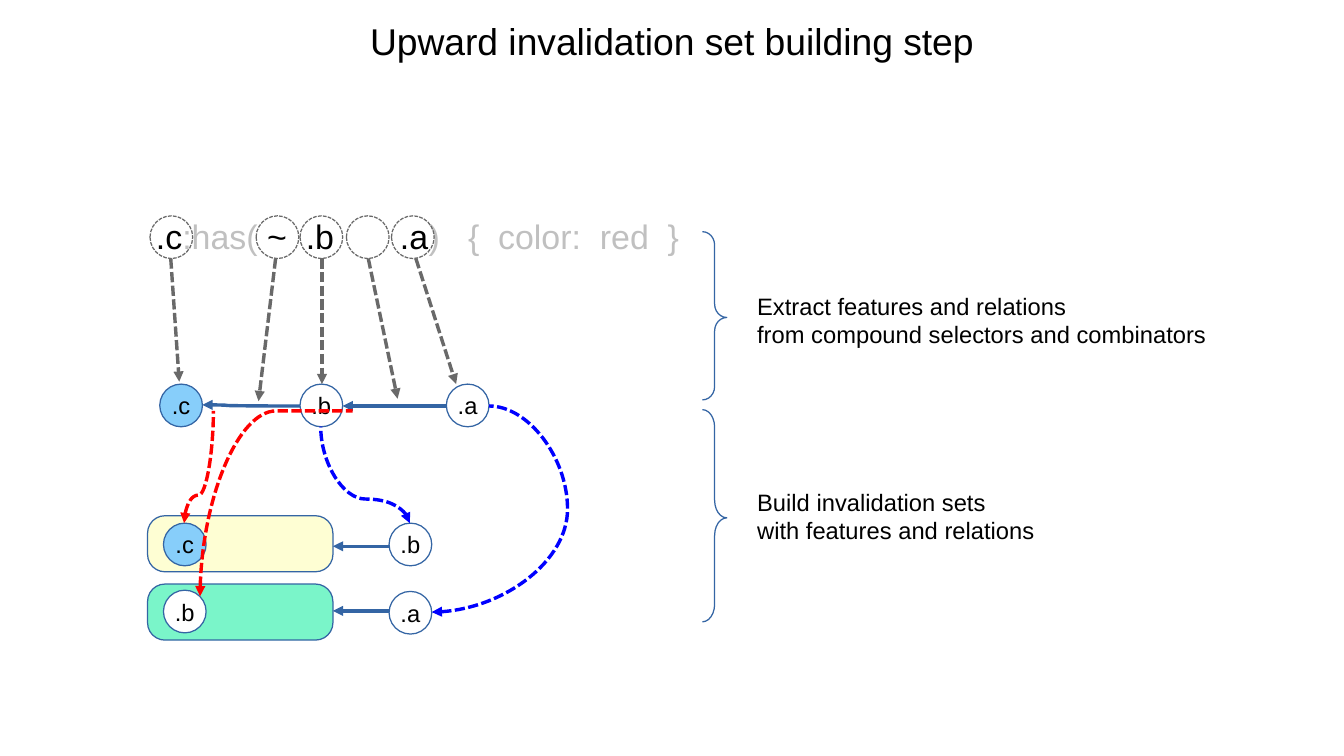
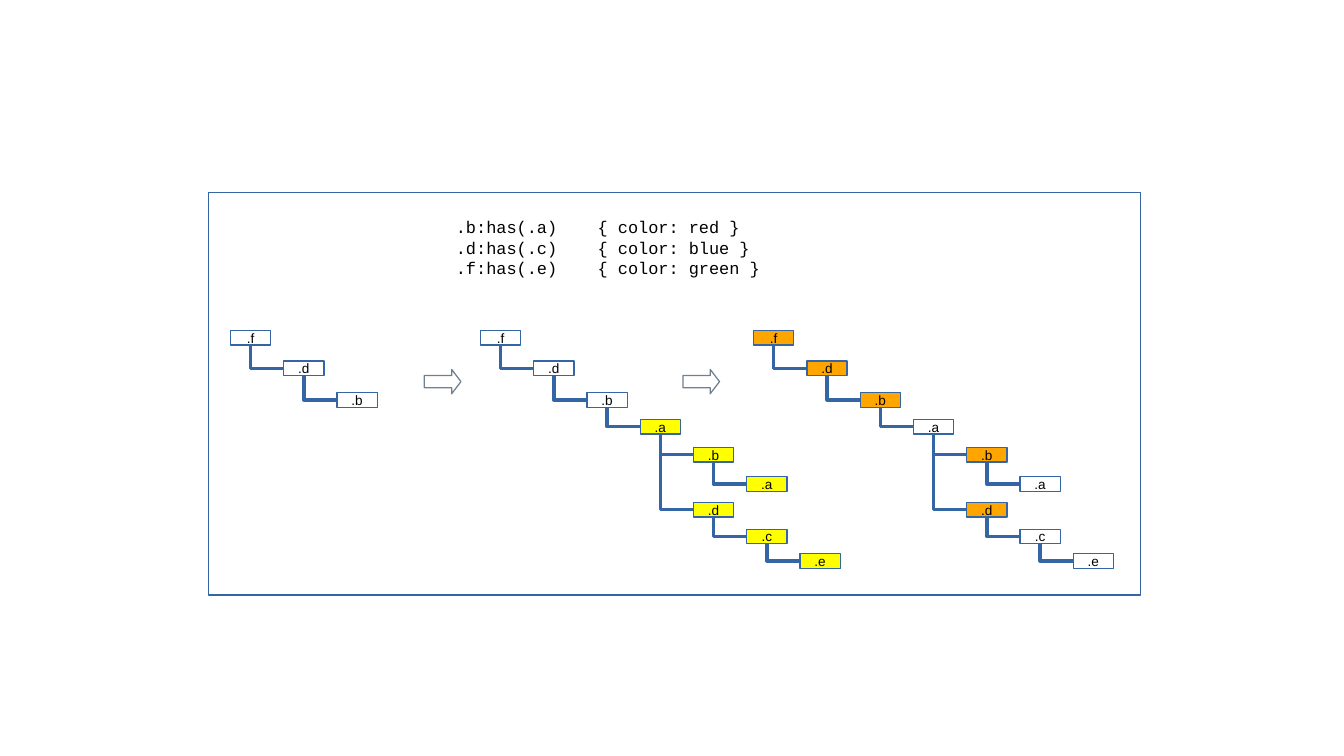
from lxml.etree import SubElement
from pptx import Presentation
from pptx.dml.color import RGBColor
from pptx.enum.dml import MSO_LINE
from pptx.enum.shapes import MSO_CONNECTOR, MSO_SHAPE
from pptx.enum.text import MSO_ANCHOR, MSO_AUTO_SIZE, PP_ALIGN
from pptx.oxml.ns import qn
from pptx.util import Inches, Pt

BLACK = RGBColor(0x00, 0x00, 0x00)
WHITE = RGBColor(0xFF, 0xFF, 0xFF)
OUTLINE = RGBColor(0x34, 0x65, 0xA4)
GRAY = RGBColor(0x69, 0x69, 0x69)
SILVER = RGBColor(0xC0, 0xC0, 0xC0)
SLATE = RGBColor(0x70, 0x80, 0x90)
BLUE = RGBColor(0x00, 0x00, 0xFF)
RED = RGBColor(0xFF, 0x00, 0x00)
SKY = RGBColor(0x87, 0xCE, 0xFA)
MINT = RGBColor(0x7A, 0xF5, 0xC9)
CREAM = RGBColor(0xFE, 0xFE, 0xD3)
YELLOW = RGBColor(0xFF, 0xFF, 0x00)
ORANGE = RGBColor(0xFF, 0xA5, 0x00)

SLIDE_WIDTH, SLIDE_HEIGHT = 11.02, 6.2
CIRCLE = 0.35
CIRCLE_SITES = {"top": 0, "left": 2, "bottom": 4, "right": 6}
BOX_SITES = {"bottom": 2, "left": 1}

NODE_WIDTH, NODE_HEIGHT = 0.33, 0.12
TREE_TOP = 2.71
LEVEL_STEP = 2.62 / 6
# Label, depth, offset from the tree top, index of the parent
TREE_NODES = [
    (".f", 0, 0, None),
    (".d", 1, 0.25, 0),
    (".b", 2, 0.51, 1),
    (".a", 3, 0.73, 2),
    (".b", 4, 0.96, 3),
    (".a", 5, 1.2, 4),
    (".d", 4, 1.41, 3),
    (".c", 5, 1.63, 6),
    (".e", 6, 1.83, 7),
]


def add_run(paragraph, text, size, color=BLACK, font_name="Arial"):
    run = paragraph.add_run()
    run.text = text
    run.font.size = Pt(size)
    run.font.name = font_name
    run.font.color.rgb = color


def style_line(line, color, dashed=False):
    line.color.rgb = color
    line.width = Pt(0)
    if dashed:
        line.dash_style = MSO_LINE.SQUARE_DOT


def add_block(slide, kind, box, fill=None, outline=OUTLINE, dashed=False,
              adjustments=(), label=None, size=14):
    shape = slide.shapes.add_shape(kind, *map(Inches, box))
    shape.shadow.inherit = False
    if fill is None:
        shape.fill.background()
    else:
        shape.fill.solid()
        shape.fill.fore_color.rgb = fill
    style_line(shape.line, outline, dashed)
    for index, value in enumerate(adjustments):
        shape.adjustments[index] = value
    if label:
        frame = shape.text_frame
        frame.word_wrap = False
        frame.vertical_anchor = MSO_ANCHOR.MIDDLE
        frame.paragraphs[0].alignment = PP_ALIGN.CENTER
        add_run(frame.paragraphs[0], label, size)
    return shape


def add_circle(slide, left, top, label=None, fill=WHITE):
    return add_block(slide, MSO_SHAPE.OVAL, (left, top, CIRCLE, CIRCLE), fill, label=label)


def add_lines(slide, box, lines, size, font_name="Arial", wrap=True):
    """Add a text box with one paragraph, broken into the given lines."""
    text_box = slide.shapes.add_textbox(*map(Inches, box))
    text_box.text_frame.word_wrap = wrap
    paragraph = text_box.text_frame.paragraphs[0]
    for index, text in enumerate(lines):
        if index:
            paragraph.add_line_break()
        add_run(paragraph, text, size, font_name=font_name)


def glue(connector, tag, site):
    shape, index = site
    parent = connector._element.xpath("p:nvCxnSpPr/p:cNvCxnSpPr")[0]
    SubElement(parent, qn(tag), id=str(shape.shape_id), idx=str(index))


def add_link(slide, kind, start, end, color=OUTLINE, rotation=0, preset=None, bend=None,
             arrow=None, dashed=False, start_site=None, end_site=None):
    """Join two points; a rotated link is laid out turned back about its centre."""
    center_x, center_y = (start[0] + end[0]) / 2, (start[1] + end[1]) / 2

    def turned_back(point):
        x, y = point[0] - center_x, point[1] - center_y
        x, y = {0: (x, y), 90: (y, -x), 270: (-y, x)}[rotation]
        return Inches(center_x + x), Inches(center_y + y)

    connector = slide.shapes.add_connector(kind, *turned_back(start), *turned_back(end))
    connector.rotation = rotation
    style_line(connector.line, color, dashed)
    if arrow:
        SubElement(connector.line._get_or_add_ln(), qn(arrow), type="triangle")
    properties = connector._element.spPr
    SubElement(properties, qn("a:effectLst"))
    geometry = properties.find(qn("a:prstGeom"))
    if preset:
        geometry.set("prst", preset)
    if bend is not None:
        SubElement(geometry.find(qn("a:avLst")), qn("a:gd"),
                   name="adj1", fmla=f"val {round(bend * 100000)}")
    if start_site:
        glue(connector, "a:stCxn", start_site)
    if end_site:
        glue(connector, "a:endCxn", end_site)


def add_curve(slide, start, end, bend, color=OUTLINE, **options):
    add_link(slide, MSO_CONNECTOR.CURVE, start, end, color, bend=bend,
             arrow="a:headEnd", **options)


def add_arrow(slide, start, end, color=OUTLINE, dashed=False):
    add_link(slide, MSO_CONNECTOR.STRAIGHT, start, end, color,
             arrow="a:tailEnd", dashed=dashed)


def add_title(slide, text):
    title = slide.shapes.title
    title.left, title.top, title.width, title.height = map(Inches, (0, 0.1, SLIDE_WIDTH, 0.5))
    frame = title.text_frame
    frame.word_wrap = True
    frame.auto_size = MSO_AUTO_SIZE.NONE
    frame.vertical_anchor = MSO_ANCHOR.TOP
    frame.paragraphs[0].alignment = PP_ALIGN.CENTER
    add_run(frame.paragraphs[0], text, 22)


def add_selector(slide):
    text_box = slide.shapes.add_textbox(*map(Inches, (1.18, 1.78, 4.62, 0.31)))
    frame = text_box.text_frame
    frame.word_wrap = False
    frame.vertical_anchor = MSO_ANCHOR.MIDDLE
    for text, color in [(".c", BLACK), (":has(", SILVER), (" ~  .b       .a", BLACK),
                        (")   {  color:  red  }", SILVER)]:
        add_run(frame.paragraphs[0], text, 20, color)


def add_extraction(slide):
    """Ring each selector part and point to the feature or relation it gives."""
    for left, start_x, end in [
        (1.23, 1.4, (1.47, 3.13)),
        (2.1, 2.26, (2.12, 3.29)),
        (2.46, 2.64, (2.64, 3.15)),
        (2.84, 3.02, (3.26, 3.27)),
        (3.21, 3.41, (3.74, 3.15)),
    ]:
        add_block(slide, MSO_SHAPE.OVAL, (left, 1.77, CIRCLE, CIRCLE),
                  outline=GRAY, dashed=True)
        add_arrow(slide, (start_x, 2.12), end, GRAY, dashed=True)


def add_feature_graph(slide):
    for top, fill in [(4.79, MINT), (4.23, CREAM)]:
        add_block(slide, MSO_SHAPE.ROUNDED_RECTANGLE, (1.21, top, 1.52, 0.46), fill,
                  adjustments=[0.31])
    key_a = add_circle(slide, 3.19, 4.85, ".a")
    key_b = add_circle(slide, 3.19, 4.29, ".b")
    for y in (5.01, 4.48):
        add_arrow(slide, (3.19, y), (2.73, y))
    add_circle(slide, 1.34, 4.84, ".b")
    member_c = add_circle(slide, 1.34, 4.29, ".c", SKY)
    feature_c = add_circle(slide, 1.31, 3.15, ".c", SKY)
    feature_b = add_circle(slide, 2.46, 3.15, ".b")
    feature_a = add_circle(slide, 3.66, 3.15, ".a")

    def site(circle, side):
        return circle, CIRCLE_SITES[side]

    add_curve(slide, (1.66, 3.32), (2.46, 3.33), 0.25,
              start_site=site(feature_c, "right"), end_site=site(feature_b, "left"))
    add_curve(slide, (2.81, 3.33), (3.66, 3.33), 0.25,
              start_site=site(feature_b, "right"), end_site=site(feature_a, "left"))
    add_curve(slide, (3.54, 5.02), (4.01, 3.33), 2.37, BLUE, dashed=True,
              start_site=site(key_a, "right"), end_site=site(feature_a, "right"))
    add_curve(slide, (3.36, 4.29), (2.63, 3.5), 0.25, BLUE, rotation=270, dashed=True,
              start_site=site(key_b, "top"), end_site=site(feature_b, "bottom"))
    add_curve(slide, (1.64, 4.89), (2.89, 3.37), 1, RED, rotation=90, dashed=True)
    add_curve(slide, (1.51, 4.29), (1.75, 3.37), 0.25, RED, rotation=90, dashed=True,
              start_site=site(member_c, "top"))


def build_invalidation_slide(presentation):
    slide = presentation.slides.add_slide(presentation.slide_layouts[5])
    add_title(slide, "Upward invalidation set building step")
    add_selector(slide)
    add_feature_graph(slide)
    add_extraction(slide)
    for top, height, curl, tip in [(1.9, 1.38, 0.55, 0.51), (3.36, 1.74, 0.72, 0.51)]:
        add_block(slide, MSO_SHAPE.RIGHT_BRACE, (5.76, top, 0.2, height),
                  adjustments=[curl, tip])
    add_lines(slide, (6.11, 2.34, 4.05, 0.75),
              ["Extract features and relations", "from compound selectors and combinators"], 14)
    add_lines(slide, (6.11, 3.95, 3.69, 0.6),
              ["Build invalidation sets", "with features and relations"], 14)


def add_tree(slide, left, fills):
    """Draw the first nodes of the tree, one for each fill."""
    nodes = []
    for (label, depth, offset, parent), fill in zip(TREE_NODES, fills):
        x, y = left + depth * LEVEL_STEP, TREE_TOP + offset
        node = add_block(slide, MSO_SHAPE.RECTANGLE, (x, y, NODE_WIDTH, NODE_HEIGHT), fill,
                         label=label, size=8)
        nodes.append((node, x, y))
        if parent is not None:
            parent_node, parent_x, parent_y = nodes[parent]
            add_link(slide, MSO_CONNECTOR.ELBOW,
                     (parent_x + NODE_WIDTH / 2, parent_y + NODE_HEIGHT),
                     (x, y + NODE_HEIGHT / 2), rotation=270, preset="bentConnector2",
                     start_site=(parent_node, BOX_SITES["bottom"]),
                     end_site=(node, BOX_SITES["left"]))


def build_tree_slide(presentation):
    slide = presentation.slides.add_slide(presentation.slide_layouts[6])
    add_lines(slide, (3.64, 1.73, 2.73, 0.6),
              [".b:has(.a)    { color: red }",
               ".d:has(.c)    { color: blue }",
               ".f:has(.e)    { color: green }"], 10, "Courier New", wrap=False)
    add_tree(slide, 1.89, [WHITE] * 3)
    add_tree(slide, 3.94, [WHITE] * 3 + [YELLOW] * 6)
    add_tree(slide, 6.18, [ORANGE if label in (".b", ".d", ".f") else WHITE
                           for label, *_ in TREE_NODES])
    for left in (3.48, 5.6):
        add_block(slide, MSO_SHAPE.RIGHT_ARROW, (left, 3.03, 0.3, 0.2), WHITE, SLATE,
                  adjustments=[0.5, 0.38])
    add_block(slide, MSO_SHAPE.RECTANGLE, (1.71, 1.58, 7.64, 3.3))


def main():
    presentation = Presentation()
    presentation.slide_width = Inches(SLIDE_WIDTH)
    presentation.slide_height = Inches(SLIDE_HEIGHT)
    build_invalidation_slide(presentation)
    build_tree_slide(presentation)
    presentation.save("out.pptx")


if __name__ == "__main__":
    main()
